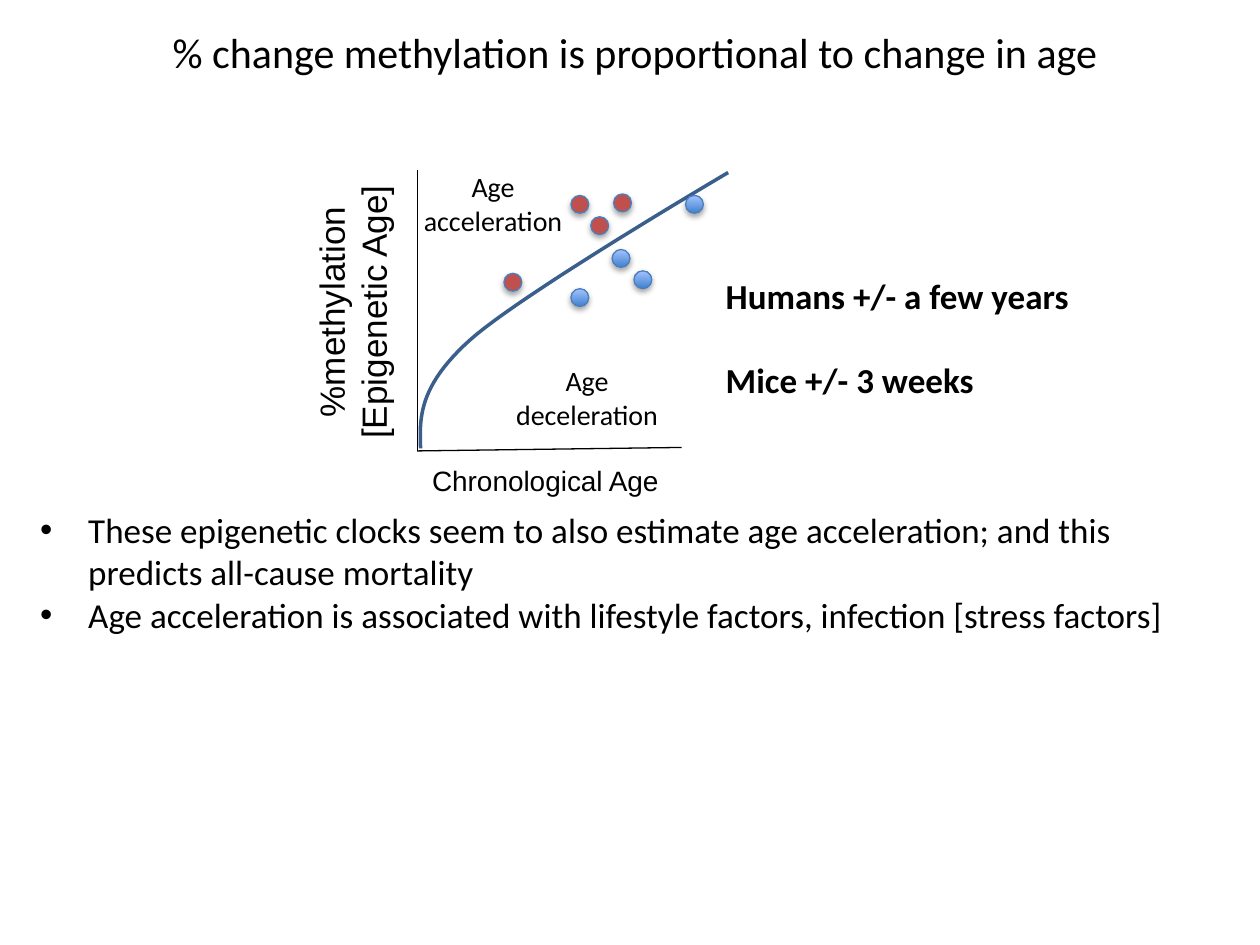
from lxml import etree
from pptx import Presentation
from pptx import util as u
from pptx.dml.color import RGBColor
from pptx.enum import shapes, text
from pptx.oxml import parse_xml
from pptx.oxml.ns import qn

BLACK = RGBColor(0x00, 0x00, 0x00)
RED = RGBColor(0xC0, 0x50, 0x4D)
BLUE_DARK = RGBColor(0x3F, 0x80, 0xCE)
BLUE_LIGHT = RGBColor(0xA4, 0xC4, 0xFF)
DOT_LINE = RGBColor(0x4B, 0x7E, 0xBC)
CURVE_LINE = RGBColor(0x3A, 0x5F, 0x8C)
CENTER, LEFT = text.PP_ALIGN.CENTER, text.PP_ALIGN.LEFT

DOT_SHADOW = """<a:effectLst xmlns:a="http://schemas.openxmlformats.org/drawingml/2006/main">
<a:outerShdw blurRad="40000" dist="23000" dir="5400000" rotWithShape="0">
<a:srgbClr val="000000"><a:alpha val="35000"/></a:srgbClr></a:outerShdw></a:effectLst>"""

presentation = Presentation()
presentation.slide_width, presentation.slide_height = u.Cm(25.4), u.Cm(19.05)
slide = presentation.slides.add_slide(presentation.slide_layouts[6])


def add_text(box, lines, size, font="Calibri", align=CENTER, wrap=True,
             bold=False, bullet=False, gap=0):
    shape = slide.shapes.add_textbox(*(u.Cm(value) for value in box))
    frame = shape.text_frame
    frame.word_wrap = wrap
    frame.auto_size = text.MSO_AUTO_SIZE.SHAPE_TO_FIT_TEXT
    frame.text = "\n".join(lines)
    for index, paragraph in enumerate(frame.paragraphs):
        paragraph.alignment = align
        if index and gap:
            paragraph.space_before = u.Pt(gap)
        if bullet:
            properties = paragraph._p.get_or_add_pPr()
            properties.set("marL", str(u.Cm(0.97)))
            properties.set("indent", str(-u.Cm(0.97)))
            etree.SubElement(properties, qn("a:buFont")).set("typeface", "Arial")
            etree.SubElement(properties, qn("a:buChar")).set("char", "•")
        for run in paragraph.runs:
            run.font.name = font
            run.font.size = u.Pt(size)
            run.font.bold = bold
            run.font.color.rgb = BLACK
    return shape


# Trend curve: two joined cubic Bezier segments
segments = [
    [(8.48, 9.04), (8.46, 8.43), (8.43, 7.8), (9.47, 6.86)],
    [(9.47, 6.86), (10.49, 5.94), (14.68, 3.48), (14.68, 3.48)],
]
STEPS = 24
points = []
for segment in segments:
    for step in range(1, STEPS + 1):
        t = step / STEPS
        weights = ((1 - t) ** 3, 3 * t * (1 - t) ** 2, 3 * t * t * (1 - t), t ** 3)
        points.append(tuple(
            u.Cm(sum(weight * point[axis] for weight, point in zip(weights, segment)))
            for axis in (0, 1)))
start_x, start_y = segments[0][0]
builder = slide.shapes.build_freeform(u.Cm(start_x), u.Cm(start_y))
builder.add_line_segments(points, close=False)
curve = builder.convert_to_shape()
curve.fill.background()
curve.line.color.rgb = CURVE_LINE
curve.line.width = u.Pt(2)
curve.shadow.inherit = False

# Axes
for end_x, end_y in [(8.41, 3.43), (13.74, 9.02)]:
    axis_line = slide.shapes.add_connector(
        shapes.MSO_CONNECTOR.STRAIGHT,
        u.Cm(8.41), u.Cm(9.09), u.Cm(end_x), u.Cm(end_y))
    axis_line.line.color.rgb = BLACK
    axis_line.line.width = u.Pt(0.75)
    etree.SubElement(axis_line._element.spPr, qn("a:effectLst"))

# Axis labels
add_text((8.43, 9.22, 5.13, 0.94), ["Chronological Age"], 16, "Arial", wrap=False)
y_label = add_text((4.27, 5.31, 5.66, 1.96), ["%methylation", "[Epigenetic Age]"],
                   20, "Arial", wrap=False)
y_label.rotation = 270

# Title and accuracy notes
add_text((1.52, 0.41, 22.56, 1.27),
         ["% change methylation is proportional to change in age"], 24)
add_text((14.38, 5.41, 7.52, 2.82), ["Humans +/- a few years", "Mice +/- 3 weeks"],
         20, align=LEFT, wrap=False, bold=True, gap=24)

# Region labels
add_text((8.05, 3.3, 3.78, 1.63), ["Age acceleration"], 16)
add_text((9.93, 7.21, 3.81, 1.63), ["Age deceleration"], 16)

# Data points: accelerated in red, decelerated in blue
accelerated = [(11.51, 3.94), (11.91, 4.37), (10.16, 5.51), (12.37, 3.91)]
decelerated = [(12.34, 5.03), (13.82, 3.94), (12.78, 5.46), (11.51, 5.82)]
for left, top in accelerated + decelerated:
    dot = slide.shapes.add_shape(shapes.MSO_SHAPE.OVAL, u.Cm(left), u.Cm(top),
                                 u.Cm(0.36), u.Cm(0.36))
    if (left, top) in accelerated:
        dot.fill.solid()
        dot.fill.fore_color.rgb = RED
    else:
        dot.fill.gradient()
        dot.fill.gradient_angle = 90
        for stop, color, position in zip(dot.fill.gradient_stops,
                                         (BLUE_DARK, BLUE_LIGHT), (0, 1)):
            stop.color.rgb = color
            stop.position = position
    dot.line.color.rgb = DOT_LINE
    dot.line.width = u.Pt(0.75)
    dot._element.spPr.append(parse_xml(DOT_SHADOW))

# Bullets
bullets = [
    (10.13, 1.96, "These epigenetic clocks seem to also estimate age acceleration; "
                  "and this predicts all-cause mortality"),
    (11.84, 1.12, "Age acceleration is associated with lifestyle factors, "
                  "infection [stress factors]"),
]
for top, height, line in bullets:
    add_text((0.56, top, 24.16, height), [line], 20, align=LEFT, bullet=True)

presentation.save("out.pptx")
